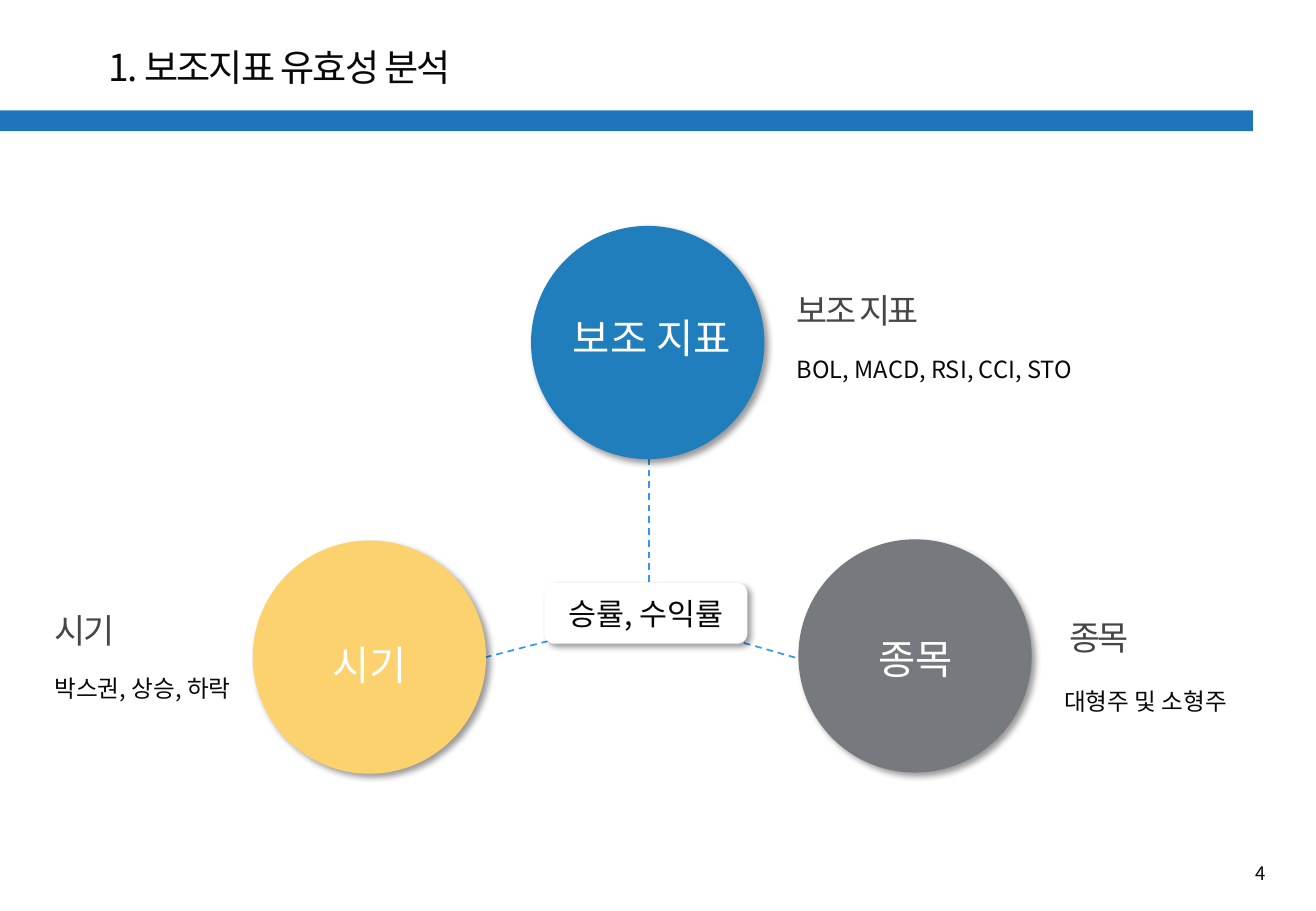
import pptx
import pptx.dml.color
import pptx.enum.dml
import pptx.enum.shapes
import pptx.enum.text
import pptx.oxml
import pptx.util
from pptx.util import Inches

ALIGN = pptx.enum.text.PP_ALIGN
ANCHOR = pptx.enum.text.MSO_ANCHOR
SHAPE = pptx.enum.shapes.MSO_SHAPE
FONT = "Noto Sans CJK KR"
NAMESPACE = 'xmlns:a="http://schemas.openxmlformats.org/drawingml/2006/main"'
INK, GREY, WHITE = "080808", "464646", "FFFFFF"
BAR_BLUE, LINE_BLUE = "1E75BB", "3496F0"

TITLE = "1. 보조지표 유효성 분석"
PAGE_NUMBER = "4"
HUB = ("승률, 수익률", (4.48, 4.8, 1.67, 0.5))
DIAMETER = 1.92
DETAIL_WIDTH = 2.6

# label, colour, circle corner, label box, heading corner, detail, detail corner
FACTORS = [
    ("시기", "FCD26E", (2.08, 4.45), (2.6, 5.22, 0.88, 0.5),
     (0.35, 4.97), "박스권, 상승, 하락", (0.35, 5.5)),
    ("보조 지표", "207EBD", (4.37, 1.86), (4.53, 2.53, 1.67, 0.5),
     (6.46, 2.34), "BOL, MACD, RSI, CCI, STO", (6.46, 2.87)),
    ("종목", "76797D", (6.57, 4.44), (6.7, 5.17, 1.67, 0.5),
     (8.7, 5.03), "대형주 및 소형주", (8.66, 5.61)),
]
SPOKES = [
    ((5.34, 3.77), (5.34, 5.08)),
    ((5.35, 5.06), (4, 5.41)),
    ((5.38, 5.08), (6.6, 5.43)),
]


def rgb(colour):
    return pptx.dml.color.RGBColor.from_string(colour)


def write(box, text, size, colour, align=ALIGN.LEFT, anchor=ANCHOR.TOP,
          spacing=0, inset=None):
    """Put one styled paragraph in a shape; spacing is in points."""
    frame = box.text_frame
    frame.text = text
    frame.word_wrap = True
    frame.vertical_anchor = anchor
    if inset is not None:
        frame.margin_left = frame.margin_right = Inches(inset)
        frame.margin_top = frame.margin_bottom = Inches(inset)
    para = frame.paragraphs[0]
    para.alignment = align
    for span in para.runs:
        span.font.size = pptx.util.Pt(size)
        span.font.name = FONT
        span.font.color.rgb = rgb(colour)
        properties = span.font._element
        properties.set("spc", str(int(spacing * 100)))
        properties.append(pptx.oxml.parse_xml(
            f'<a:ea {NAMESPACE} typeface="{FONT}"/>'))


def add_text(page, place, *style, **options):
    box = page.shapes.add_textbox(*map(Inches, place))
    write(box, *style, **options)


def add_block(page, kind, place, colour, shadow=True):
    block = page.shapes.add_shape(kind, *map(Inches, place))
    block.fill.solid()
    block.fill.fore_color.rgb = rgb(colour)
    block.line.fill.background()
    block.shadow.inherit = False
    if shadow:
        effects = block._element.spPr.find(pptx.oxml.ns.qn("a:effectLst"))
        effects.append(pptx.oxml.parse_xml(
            f'<a:outerShdw {NAMESPACE} blurRad="50800" dist="38100" '
            'dir="2700000" algn="tl" rotWithShape="0"><a:srgbClr val="000000">'
            '<a:alpha val="40000"/></a:srgbClr></a:outerShdw>'))
    return block


def add_spoke(page, start, end):
    spoke = page.shapes.add_connector(
        pptx.enum.shapes.MSO_CONNECTOR.STRAIGHT, *map(Inches, start + end))
    spoke.line.color.rgb = rgb(LINE_BLUE)
    spoke.line.width = pptx.util.Pt(1)
    spoke.line.dash_style = pptx.enum.dml.MSO_LINE.DASH
    spoke._element.spPr.append(
        pptx.oxml.parse_xml(f"<a:effectLst {NAMESPACE}/>"))


def add_factor(page, label, colour, corner, label_place,
               heading_corner, detail, detail_corner):
    add_block(page, SHAPE.OVAL, corner + (DIAMETER, DIAMETER), colour)
    add_text(page, label_place, label, 24, WHITE, align=ALIGN.CENTER)
    add_text(page, detail_corner + (DETAIL_WIDTH if detail_corner[0] < 8 else 2, 0.34),
             detail, 14, INK)
    add_text(page, heading_corner + (1.56, 0.44), label, 20, GREY, spacing=-1.5)


def main():
    deck = pptx.Presentation()
    deck.slide_width, deck.slide_height = Inches(10.83), Inches(7.5)
    page = deck.slides.add_slide(deck.slide_layouts[5])

    title = page.shapes.title
    title.left, title.top = Inches(0.89), Inches(0.27)
    title.width, title.height = Inches(5.64), Inches(0.55)
    write(title, TITLE, 22, INK, anchor=ANCHOR.MIDDLE, spacing=-1, inset=0)
    title.text_frame.auto_size = pptx.enum.text.MSO_AUTO_SIZE.NONE
    title.text_frame.paragraphs[0].space_after = pptx.util.Pt(13)

    add_block(page, SHAPE.RECTANGLE, (0, 0.91, 10.31, 0.17), BAR_BLUE, shadow=False)
    add_text(page, (9.59, 7.07, 0.83, 0.24), PAGE_NUMBER, 11, INK,
             align=ALIGN.RIGHT, anchor=ANCHOR.MIDDLE, inset=0)

    for start, end in SPOKES:
        add_spoke(page, start, end)
    for factor in FACTORS:
        add_factor(page, *factor)

    hub_text, hub_place = HUB
    hub = add_block(page, SHAPE.ROUNDED_RECTANGLE, hub_place, WHITE)
    write(hub, hub_text, 18, INK, align=ALIGN.CENTER, anchor=ANCHOR.MIDDLE)

    deck.save("out.pptx")


if __name__ == "__main__":
    main()
